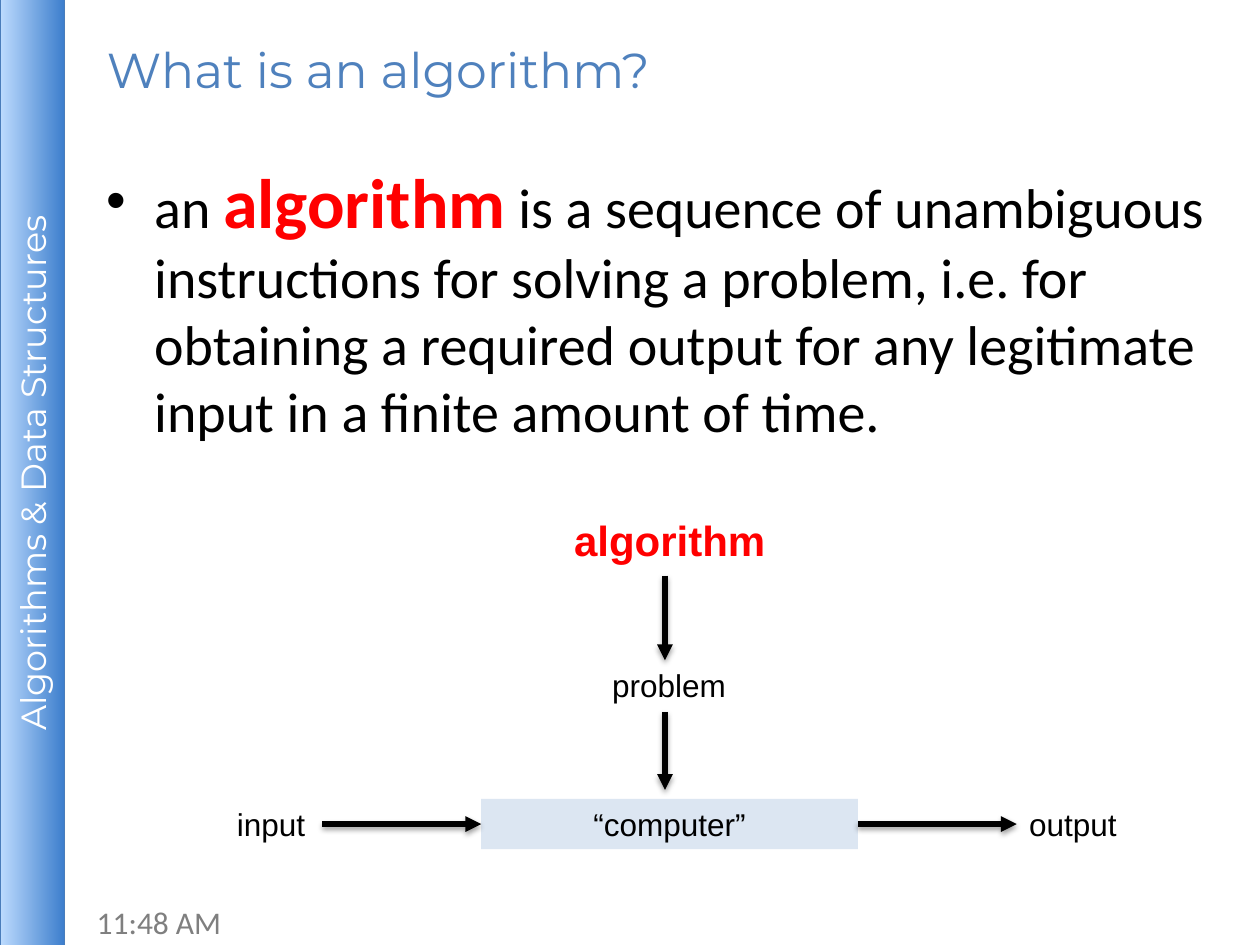
"""Build the slide that defines an algorithm."""
from lxml import etree
from pptx import Presentation
from pptx import util as u
from pptx.dml.color import RGBColor
from pptx.enum import shapes, text
from pptx.oxml import ns

WHITE = RGBColor(0xFF, 0xFF, 0xFF)
BLACK = RGBColor(0, 0, 0)
RED = RGBColor(0xFF, 0, 0)
GRAY = RGBColor(0x7F, 0x7F, 0x7F)
TITLE_BLUE = RGBColor(0x4F, 0x81, 0xBD)
PALE_BLUE = RGBColor(0xDC, 0xE6, 0xF2)
BAR_LIGHT = RGBColor(0xBD, 0xDB, 0xFE)
BAR_DARK = RGBColor(0x3E, 0x7F, 0xCD)
BAR_LINE = RGBColor(0x4A, 0x7D, 0xBB)
BAR_SHADOW = RGBColor(0xEE, 0xEC, 0xE1)

COURSE = "Algorithms & Data Structures"
TITLE = "What is an algorithm?"
TIME = "11:48 AM"
DEFINITION = [
    ("an ", {}),
    ("algorithm", {"size": 40, "color": RED, "bold": True}),
    (" is a sequence of unambiguous instructions for solving a problem, i.e. for "
     "obtaining a required output for any legitimate input in a finite amount of time.", {}),
]

ROW_TOP, ROW_HEIGHT = 456.5, 28.8
ROW_MIDDLE = ROW_TOP + ROW_HEIGHT / 2
LABEL_WIDTH = 85
COMPUTER_LEFT, COMPUTER_WIDTH = 275, 215.3
COMPUTER_RIGHT = COMPUTER_LEFT + COMPUTER_WIDTH
ARROW_LENGTH = 90.7
COLUMN_X = 380
CENTER = text.PP_ALIGN.CENTER
LABELS = {
    "input": ((128.2, ROW_TOP, LABEL_WIDTH, ROW_HEIGHT), {}),
    "output": ((COMPUTER_RIGHT + ARROW_LENGTH, ROW_TOP, LABEL_WIDTH, ROW_HEIGHT), {}),
    "problem": ((339.8, 377.3, LABEL_WIDTH, ROW_HEIGHT), {"align": CENTER}),
    "algorithm": ((313.2, 290.2, 139, 36),
                  {"align": CENTER, "size": 24, "color": RED, "bold": True}),
}


def lengths(box):
    return [u.Pt(value) for value in box]


def write(shape, content, font="Arial", size=18, color=BLACK, bold=False,
          align=text.PP_ALIGN.LEFT, anchor=text.MSO_ANCHOR.TOP, bullet_indent=0):
    frame = shape.text_frame
    frame.word_wrap = True
    frame.vertical_anchor = anchor
    paragraph = frame.paragraphs[0]
    paragraph.alignment = align
    if bullet_indent:
        properties = paragraph._p.get_or_add_pPr()
        properties.set("marL", str(u.Pt(bullet_indent)))
        properties.set("indent", str(-u.Pt(bullet_indent)))
        etree.SubElement(properties, ns.qn("a:buFont"), typeface="Arial")
        etree.SubElement(properties, ns.qn("a:buChar"), char="•")
    base = {"size": size, "color": color, "bold": bold}
    for words, changes in [(content, {})] if isinstance(content, str) else content:
        style = {**base, **changes}
        run = paragraph.add_run()
        run.text = words
        run.font.name = font
        run.font.size = u.Pt(style["size"])
        run.font.bold = style["bold"]
        run.font.color.rgb = style["color"]
    return shape


def add_text(slide, box, content, **style):
    return write(slide.shapes.add_textbox(*lengths(box)), content, **style)


def add_rectangle(slide, box):
    shape = slide.shapes.add_shape(shapes.MSO_SHAPE.RECTANGLE, *lengths(box))
    shape.shadow.inherit = False
    return shape


def add_shadow(shape, color, opacity, blur, distance):
    properties = shape._element.spPr
    effects = properties.find(ns.qn("a:effectLst"))
    if effects is None:
        effects = etree.SubElement(properties, ns.qn("a:effectLst"))
    shadow = etree.SubElement(effects, ns.qn("a:outerShdw"), blurRad=str(u.Pt(blur)),
                              dist=str(u.Pt(distance)), dir="5400000", rotWithShape="0")
    tint = etree.SubElement(shadow, ns.qn("a:srgbClr"), val=str(color))
    etree.SubElement(tint, ns.qn("a:alpha"), val=str(opacity * 1000))


def add_arrow(slide, start, end):
    arrow = slide.shapes.add_connector(shapes.MSO_CONNECTOR.STRAIGHT, *lengths(start + end))
    arrow.line.color.rgb = BLACK
    arrow.line.width = u.Pt(3)
    etree.SubElement(arrow.line._get_or_add_ln(), ns.qn("a:tailEnd"), type="triangle")
    add_shadow(arrow, BLACK, 38, 3.1, 1.6)
    return arrow


def add_course_bar(slide):
    bar = add_rectangle(slide, (-252, 252, 541, 36.7))
    bar.rotation = 270
    bar.fill.gradient()
    bar.fill.gradient_angle = 270
    for stop, color in zip(bar.fill.gradient_stops, (BAR_LIGHT, BAR_DARK)):
        stop.color.rgb = color
    bar.line.color.rgb = BAR_LINE
    bar.line.width = u.Pt(0.75)
    add_shadow(bar, BAR_SHADOW, 35, 0, 1.8)
    write(bar, COURSE, font="Montserrat", size=20, color=WHITE, align=CENTER,
          anchor=text.MSO_ANCHOR.MIDDLE)
    frame = bar.text_frame
    frame.margin_left = frame.margin_right = u.Pt(3)
    frame.margin_top = frame.margin_bottom = u.Pt(3)


def add_diagram(slide):
    computer = add_rectangle(slide, (COMPUTER_LEFT, ROW_TOP, COMPUTER_WIDTH, ROW_HEIGHT))
    computer.fill.solid()
    computer.fill.fore_color.rgb = PALE_BLUE
    computer.line.fill.background()
    write(computer, "“computer”", align=CENTER)
    labels = {name: add_text(slide, box, name, **style)
              for name, (box, style) in LABELS.items()}

    incoming = add_arrow(slide, (COMPUTER_LEFT - ARROW_LENGTH, ROW_MIDDLE),
                         (COMPUTER_LEFT, ROW_MIDDLE))
    incoming.end_connect(computer, 1)
    outgoing = add_arrow(slide, (COMPUTER_RIGHT, ROW_MIDDLE),
                         (COMPUTER_RIGHT + ARROW_LENGTH, ROW_MIDDLE))
    outgoing.begin_connect(computer, 3)
    outgoing.end_connect(labels["output"], 1)
    for top, bottom in ((329, 377.3), (406.8, 451.4)):
        add_arrow(slide, (COLUMN_X, top), (COLUMN_X, bottom))


def main():
    presentation = Presentation()
    presentation.slide_width, presentation.slide_height = u.Pt(720), u.Pt(540)
    slide = presentation.slides.add_slide(presentation.slide_layouts[6])
    add_text(slide, (48.2, 512.6, 168, 28.8), TIME, font="Calibri", color=GRAY)
    add_course_bar(slide)
    add_text(slide, (54, 11.5, 540, 56), TITLE, font="Montserrat", size=28,
             color=TITLE_BLUE, anchor=text.MSO_ANCHOR.MIDDLE)
    add_text(slide, (54, 87, 651.6, 179.3), DEFINITION, font="Calibri", size=32,
             bullet_indent=27)
    add_diagram(slide)
    presentation.save("out.pptx")


if __name__ == "__main__":
    main()
